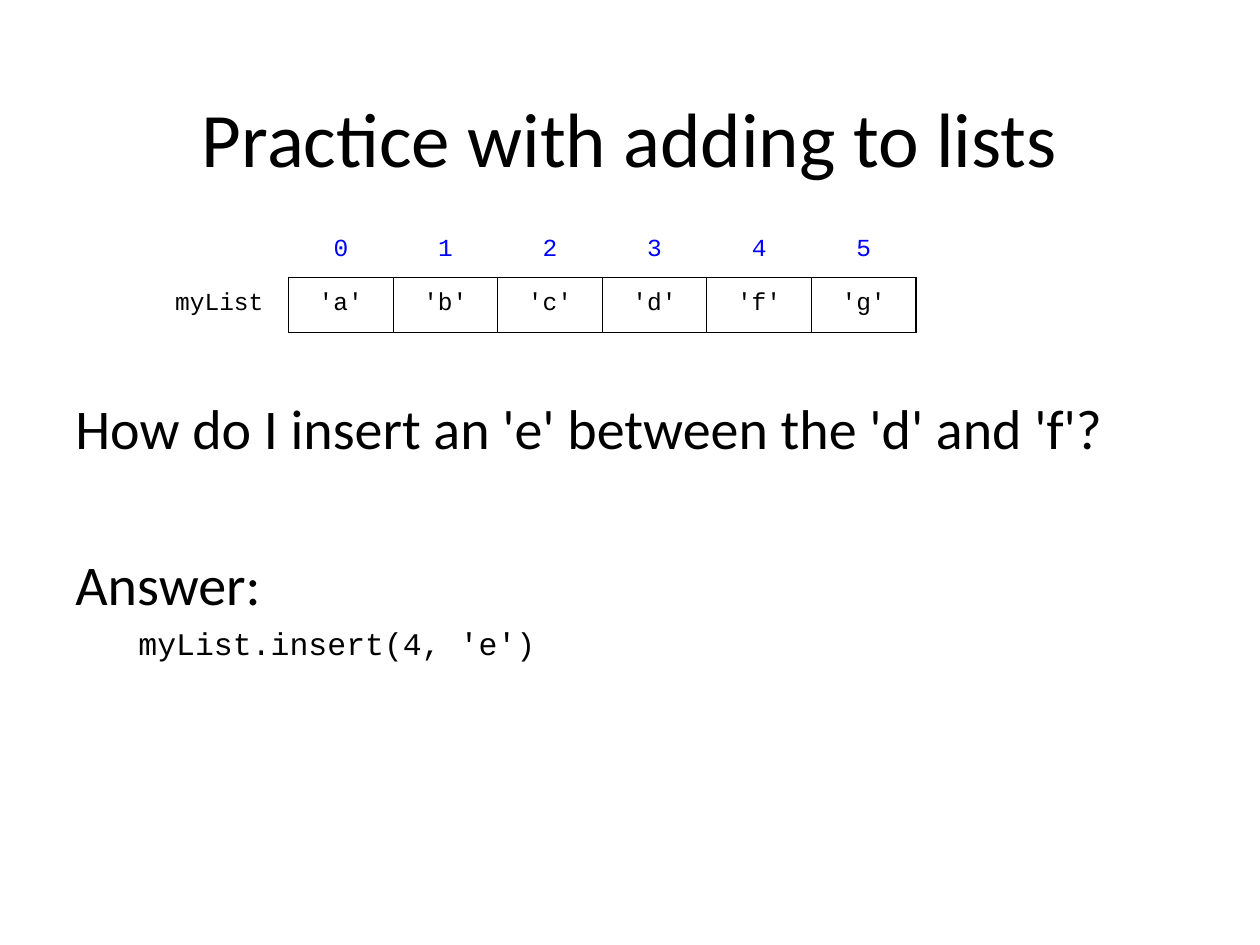
from dataclasses import dataclass

from lxml.etree import SubElement
from pptx import Presentation
from pptx.dml.color import RGBColor
from pptx.enum.text import MSO_ANCHOR, PP_ALIGN
from pptx.oxml.ns import qn
from pptx.util import Inches, Pt


@dataclass(frozen=True)
class Theme:
    ink: str = "000000"
    index: str = "0000FF"
    sans: str = "Calibri"
    mono: str = "Courier New"
    title: int = 44
    body: int = 32
    code: int = 18
    cell: int = 14
    rule: float = 0.75


THEME = Theme()
PLAIN = "{2D5ABB26-0587-4C30-8999-92F81FD0307C}"  # table style without grid
PAD = Inches(0.1)
ITEMS = "abcdfg"


def add_run(para, text, size, font=THEME.sans, color=THEME.ink):
    run = para.add_run()
    run.text = text
    run.font.size = Pt(size)
    run.font.name = font
    run.font.color.rgb = RGBColor.from_string(color)


def pad(part):
    part.margin_left = part.margin_right = PAD
    part.margin_top = part.margin_bottom = PAD


def add_box(slide, left, top, width, height):
    box = slide.shapes.add_textbox(
        Inches(left), Inches(top), Inches(width), Inches(height))
    frame = box.text_frame
    frame.word_wrap = True
    pad(frame)
    return frame


def add_title(slide, text):
    frame = add_box(slide, 0.5, 0.3, 9, 1.25)
    frame.vertical_anchor = MSO_ANCHOR.BOTTOM
    para = frame.paragraphs[0]
    para.alignment = PP_ALIGN.CENTER
    add_run(para, text, THEME.title)


def add_body(slide):
    frame = add_box(slide, 0.5, 1.75, 9, 4.95)
    frame.margin_top = Inches(1.37)  # room for the list table
    add_run(frame.paragraphs[0],
            "How do I insert an 'e' between the 'd' and 'f'?", THEME.body)

    label = frame.add_paragraph()
    label.space_before = Pt(51)
    add_run(label, "Answer:", THEME.body)

    code = frame.add_paragraph()
    code.space_before = Pt(4)
    props = code._p.get_or_add_pPr()
    props.set("marL", str(Inches(0.5)))
    props.set("indent", "0")
    add_run(code, "myList.insert(4, 'e')", THEME.code, THEME.mono)


def set_edges(cell, sides):
    props = cell._tc.get_or_add_tcPr()
    for side in "LRTB":
        drawn = side in sides
        line = SubElement(props, qn("a:ln" + side),
                          w=str(Pt(THEME.rule) if drawn else 0))
        fill = SubElement(line, qn("a:solidFill" if drawn else "a:noFill"))
        if drawn:
            SubElement(fill, qn("a:srgbClr"), val=THEME.ink)


def fill_cell(cell, text, sides, color=THEME.ink, align=PP_ALIGN.CENTER):
    set_edges(cell, sides)
    cell.fill.background()
    if text:
        pad(cell)
        para = cell.text_frame.paragraphs[0]
        para.alignment = align
        add_run(para, text, THEME.cell, THEME.mono, color)


def add_list(slide, name, items):
    count = len(items)
    table = slide.shapes.add_table(
        2, count + 1, Inches(1.29), Inches(1.77),
        Inches(1 + 0.83 * count), Inches(0.84)).table
    table.first_row = table.horz_banding = False
    table._tbl.tblPr.find(qn("a:tableStyleId")).text = PLAIN
    for row in table.rows:
        row.height = Inches(0.42)
    for spot, col in enumerate(table.columns):
        col.width = Inches(0.83 if spot else 1)

    # Name column, then one column per item with its index above
    fill_cell(table.cell(0, 0), "", "")
    fill_cell(table.cell(1, 0), name, "R", align=PP_ALIGN.LEFT)
    for spot, item in enumerate(items):
        fill_cell(table.cell(0, spot + 1), str(spot), "B", THEME.index)
        fill_cell(table.cell(1, spot + 1), f"'{item}'", "LRTB")


def main():
    deck = Presentation()
    deck.slide_width, deck.slide_height = Inches(10), Inches(7.5)
    slide = deck.slides.add_slide(deck.slide_layouts[6])
    add_title(slide, "Practice with adding to lists")
    add_body(slide)
    add_list(slide, "myList", ITEMS)
    deck.save("out.pptx")


if __name__ == "__main__":
    main()
